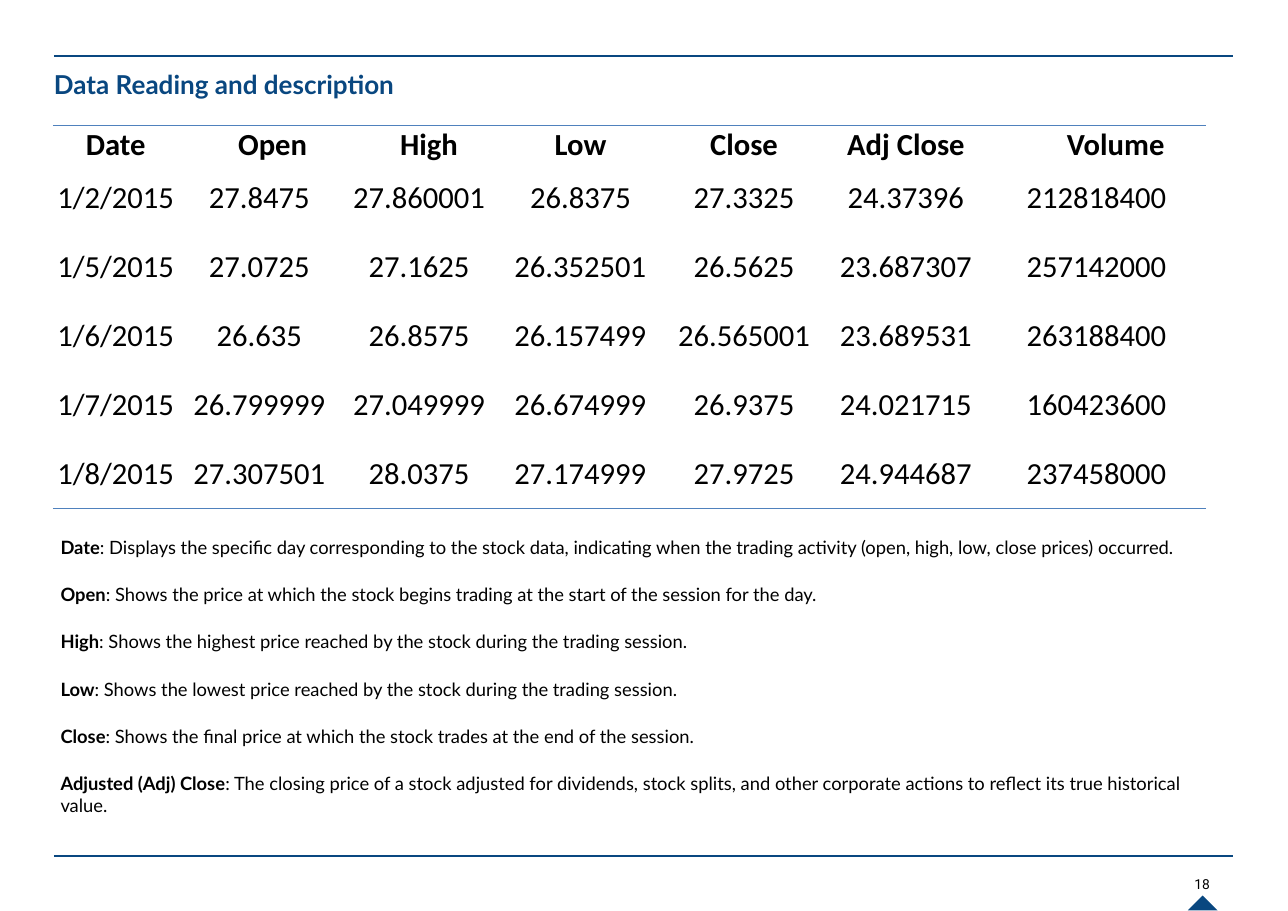
from dataclasses import dataclass

from lxml.etree import SubElement
from pptx import Presentation
from pptx.dml.color import RGBColor
from pptx.enum.shapes import MSO_CONNECTOR as Connector, MSO_SHAPE as Shape
from pptx.enum.text import MSO_ANCHOR as Anchor, PP_ALIGN as Align
from pptx.oxml import parse_xml
from pptx.oxml.ns import nsdecls, qn
from pptx.util import Inches, Pt

NAVY = RGBColor(0x09, 0x47, 0x80)
TABLE_BLUE = RGBColor(0x4F, 0x81, 0xBD)
BLACK = RGBColor(0, 0, 0)
WIDTH, HEIGHT = Inches(11.69), Inches(8.27)
NO_STYLE = "{2D5ABB26-0587-4C30-8999-92F81FD0307C}"


@dataclass(frozen=True)
class Area:
    """Position and size in percent of the slide."""
    left: float
    top: float
    width: float
    height: float

    def box(self) -> tuple[int, int, int, int]:
        return across(self.left), down(self.top), across(self.width), down(self.height)


@dataclass(frozen=True)
class Column:
    header: str
    width: float
    values: tuple[str, ...]
    header_inset: float = 0


@dataclass(frozen=True)
class Definition:
    term: str
    meaning: str


COLUMNS = (
    Column("Date", 9.75, ("1/2/2015", "1/5/2015", "1/6/2015", "1/7/2015", "1/8/2015")),
    Column("Open", 12.57, ("27.8475", "27.0725", "26.635", "26.799999", "27.307501"), 2.05),
    Column("High", 12.23, ("27.860001", "27.1625", "26.8575", "27.049999", "28.0375"), 1.54),
    Column("Low", 12.83, ("26.8375", "26.352501", "26.157499", "26.674999", "27.174999")),
    Column("Close", 12.57, ("27.3325", "26.5625", "26.565001", "26.9375", "27.9725")),
    Column("Adj Close", 12.57, ("24.37396", "23.687307", "23.689531", "24.021715", "24.944687")),
    Column("Volume", 17.02, ("212818400", "257142000", "263188400", "160423600", "237458000"), 2.99),
)
HEADER_HEIGHT, ROW_HEIGHT = 4.23, 7.57
DEFINITIONS = (
    Definition("Date", "Displays the specific day corresponding to the stock data, indicating when "
               "the trading activity (open, high, low, close prices) occurred."),
    Definition("Open", "Shows the price at which the stock begins trading at the start of the "
               "session for the day."),
    Definition("High", "Shows the highest price reached by the stock during the trading session."),
    Definition("Low", "Shows the lowest price reached by the stock during the trading session."),
    Definition("Close", "Shows the final price at which the stock trades at the end of the session."),
    Definition("Adjusted (Adj) Close", "The closing price of a stock adjusted for dividends, stock "
               "splits, and other corporate actions to reflect its true historical value."),
)


def across(percent: float) -> int:
    return round(WIDTH * percent / 100)


def down(percent: float) -> int:
    return round(HEIGHT * percent / 100)


def set_font(paragraph, name: str, size: float, color: RGBColor, bold: bool | None = None) -> None:
    font = paragraph.font
    font.name, font.size, font.bold = name, Pt(size), bold
    font.color.rgb = color


def add_frame(slide, area: Area, wrap: bool = True):
    frame = slide.shapes.add_textbox(*area.box()).text_frame
    frame.word_wrap = wrap
    frame.margin_left = frame.margin_right = frame.margin_bottom = 0
    frame.margin_top = Inches(0.01)
    return frame


def add_rule(slide, y: float) -> None:
    rule = slide.shapes.add_connector(
        Connector.STRAIGHT, across(4.19), down(y), across(95.72), down(y))
    rule.line.color.rgb = NAVY
    rule.line.width = Pt(1)
    SubElement(rule._element.spPr, qn("a:effectLst"))


def add_border(cell, tag: str) -> None:
    cell._tc.get_or_add_tcPr().insert(0, parse_xml(
        f'<a:{tag} {nsdecls("a")} w="{Pt(1)}"><a:solidFill>'
        f'<a:srgbClr val="{TABLE_BLUE}"/></a:solidFill></a:{tag}>'))


def fill_cell(cell, text: str, bold: bool, inset: float = 0) -> None:
    cell.margin_left = across(inset)
    cell.margin_right = cell.margin_top = cell.margin_bottom = 0
    cell.vertical_anchor = Anchor.MIDDLE
    cell.fill.background()
    cell.text = text
    paragraph = cell.text_frame.paragraphs[0]
    paragraph.alignment = Align.CENTER
    set_font(paragraph, "Calibri", 20, BLACK, bold)


def add_price_table(slide) -> None:
    day_count = len(COLUMNS[0].values)
    area = Area(4.11, 13.78, sum(column.width for column in COLUMNS),
                HEADER_HEIGHT + day_count * ROW_HEIGHT)
    frame = slide.shapes.add_table(day_count + 1, len(COLUMNS), *area.box())
    table = frame.table
    table.first_row = table.horz_banding = False
    table._tbl.tblPr.find(qn("a:tableStyleId")).text = NO_STYLE
    for index, row in enumerate(table.rows):
        row.height = down(ROW_HEIGHT if index else HEADER_HEIGHT)
    for index, column in enumerate(COLUMNS):
        table.columns[index].width = across(column.width)
        fill_cell(table.cell(0, index), column.header, True, column.header_inset)
        for day, value in enumerate(column.values, start=1):
            fill_cell(table.cell(day, index), value, False)
        add_border(table.cell(0, index), "lnT")
        add_border(table.cell(day_count, index), "lnB")


def add_definitions(slide) -> None:
    frame = add_frame(slide, Area(4.19, 58.77, 88.79, 33.62))
    frame.margin_left = Inches(0.06)
    for index, definition in enumerate(DEFINITIONS):
        paragraph = frame.add_paragraph() if index else frame.paragraphs[0]
        if index:
            paragraph.space_before = Pt(16.4)
        term = paragraph.add_run()
        term.text = definition.term
        term.font.bold = True
        paragraph.add_run().text = f": {definition.meaning}"
        set_font(paragraph, "Lato", 12, BLACK)


def main() -> None:
    presentation = Presentation()
    presentation.slide_width, presentation.slide_height = WIDTH, HEIGHT
    slide = presentation.slides.add_slide(presentation.slide_layouts[6])

    # Page number and its marker
    marker = slide.shapes.add_shape(
        Shape.ISOSCELES_TRIANGLE, *Area(92.22, 98.31, 2.31, 1.63).box())
    marker.shadow.inherit = False
    marker.fill.solid()
    marker.fill.fore_color.rgb = NAVY
    marker.line.fill.background()
    number = add_frame(slide, Area(92.73, 96.01, 1.37, 2.06), wrap=False).paragraphs[0]
    number.text = "18"
    set_font(number, "Roboto", 9, BLACK)

    # Title between the page rules
    title = add_frame(slide, Area(4.19, 7.38, 35.33, 3.75)).paragraphs[0]
    title.text = "Data Reading and description"
    set_font(title, "Lato", 17, NAVY, True)
    for y in (6.17, 93.95):
        add_rule(slide, y)

    # Prices and the meaning of each column
    add_price_table(slide)
    add_definitions(slide)
    presentation.save("out.pptx")


if __name__ == "__main__":
    main()
